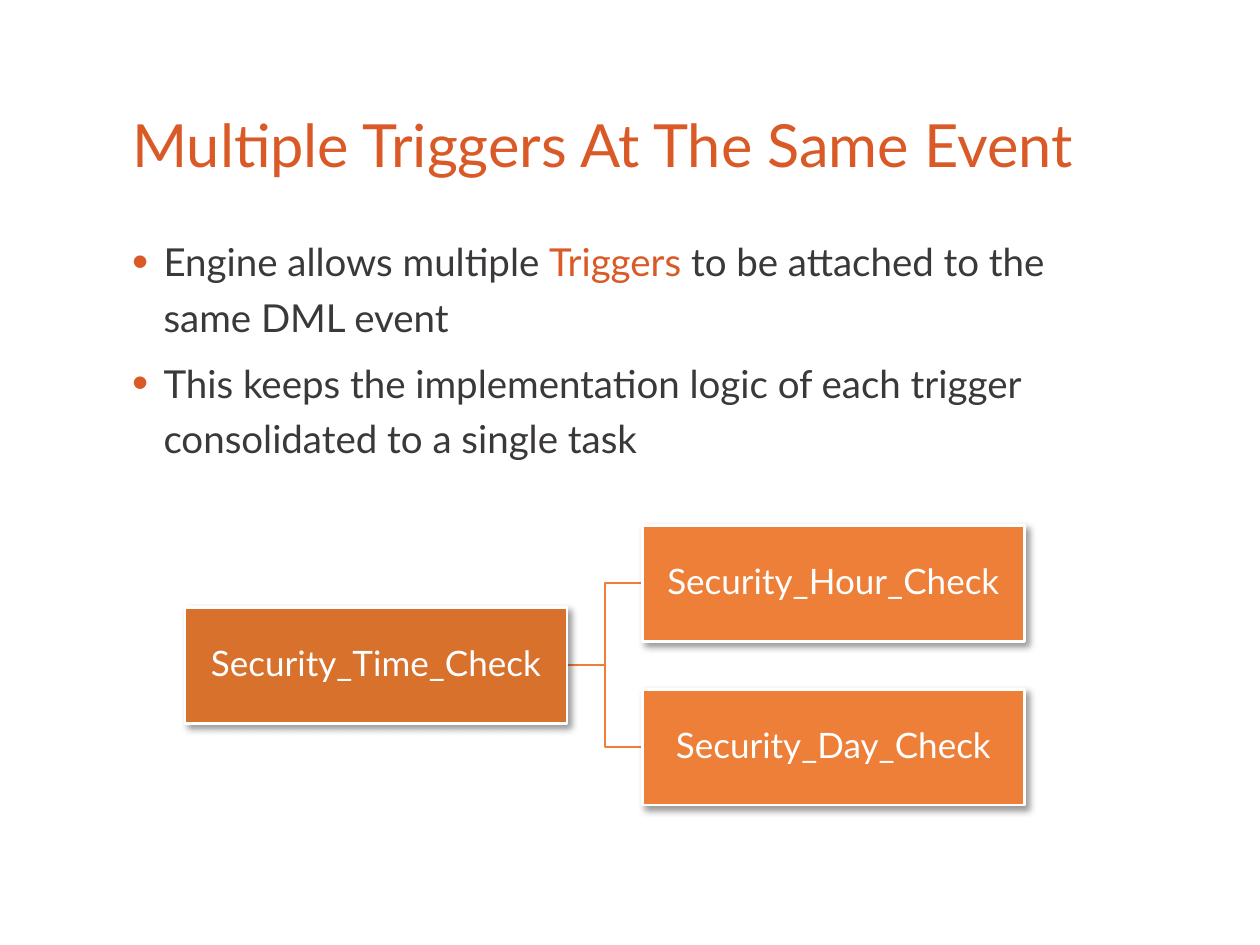
from dataclasses import dataclass

from lxml import etree
from pptx import Presentation
from pptx.dml.color import RGBColor
from pptx.enum.shapes import MSO_CONNECTOR, MSO_SHAPE
from pptx.enum.text import MSO_ANCHOR, MSO_AUTO_SIZE, PP_ALIGN
from pptx.oxml import parse_xml
from pptx.oxml.ns import nsdecls, qn
from pptx.util import Inches, Pt

ELBOW = MSO_CONNECTOR.ELBOW
RECTANGLE = MSO_SHAPE.RECTANGLE
BOTTOM, MIDDLE = MSO_ANCHOR.BOTTOM, MSO_ANCHOR.MIDDLE
LEFT, CENTER = PP_ALIGN.LEFT, PP_ALIGN.CENTER
NO_AUTOFIT = MSO_AUTO_SIZE.NONE
LEFT_SIDE, RIGHT_SIDE = 1, 3


@dataclass(frozen=True)
class Theme:
    font: str = "Lato"
    accent: str = "D95A27"
    body: str = "3B3838"
    parent: str = "D7712C"
    child: str = "ED7F39"
    light: str = "FFFFFF"
    shadow: str = "000000"
    title_size: int = 34
    body_size: int = 22
    box_size: int = 20


theme = Theme()


def add_span(para, text, size, color):
    span = para.add_run()
    span.text = text
    span.font.name = theme.font
    span.font.size = Pt(size)
    span.font.color.rgb = RGBColor.from_string(color)


def add_box(page, left, top, text, color):
    box = page.shapes.add_shape(RECTANGLE, Inches(left), Inches(top), Inches(3.03), Inches(0.92))
    box.fill.solid()
    box.fill.fore_color.rgb = RGBColor.from_string(color)
    box.line.color.rgb = RGBColor.from_string(theme.light)
    box.line.width = Pt(1.5)
    box._element.spPr.append(parse_xml(
        f'<a:effectLst {nsdecls("a")}><a:outerShdw blurRad="{Pt(4)}" dist="{Pt(3)}" '
        f'dir="2700000" algn="tl" rotWithShape="0"><a:srgbClr val="{theme.shadow}">'
        '<a:alpha val="40000"/></a:srgbClr></a:outerShdw></a:effectLst>'))
    frame = box.text_frame
    frame.word_wrap = True
    frame.vertical_anchor = MIDDLE
    frame.margin_left = frame.margin_right = Inches(0.01)
    frame.margin_top = frame.margin_bottom = Inches(0.01)
    para = frame.paragraphs[0]
    para.alignment = CENTER
    para.line_spacing = 0.9
    add_span(para, text, theme.box_size, theme.light)
    return box


deck = Presentation()
deck.slide_width = Inches(10)
deck.slide_height = Inches(7.5)
page = deck.slides.add_slide(deck.slide_layouts[5])

title = page.shapes.title
title.left, title.top = Inches(0.95), Inches(0.79)
title.width, title.height = Inches(8.04), Inches(0.69)
title.text_frame.word_wrap = True
title.text_frame.auto_size = NO_AUTOFIT
title.text_frame.vertical_anchor = BOTTOM
para = title.text_frame.paragraphs[0]
para.alignment = LEFT
para.line_spacing = 0.9
add_span(para, "Multiple Triggers At The Same Event", theme.title_size, theme.accent)

bullets = [
    [("Engine allows multiple ", theme.body), ("Triggers", theme.accent),
     (" to be attached to the same DML event", theme.body)],
    [("This keeps the implementation logic of each trigger consolidated to a single task",
      theme.body)],
]
body = page.shapes.add_textbox(Inches(0.95), Inches(1.77), Inches(8.04), Inches(2.2))
body.text_frame.word_wrap = True
for index, spans in enumerate(bullets):
    para = body.text_frame.paragraphs[0] if index == 0 else body.text_frame.add_paragraph()
    para.line_spacing = 1.2
    para.space_after = Pt(6)
    properties = para._p.get_or_add_pPr()
    properties.set("marL", str(Inches(0.25)))
    properties.set("indent", str(-Inches(0.25)))
    bullet_color = etree.SubElement(properties, qn("a:buClr"))
    etree.SubElement(bullet_color, qn("a:srgbClr"), val=theme.accent)
    etree.SubElement(properties, qn("a:buSzPct"), val="120000")
    etree.SubElement(properties, qn("a:buFont"), typeface="Arial")
    etree.SubElement(properties, qn("a:buChar"), char="•")
    for text, color in spans:
        add_span(para, text, theme.body_size, color)

children = ["Security_Hour_Check", "Security_Day_Check"]
links = [page.shapes.add_connector(ELBOW, 0, 0, 0, 0) for child in children]
parent_box = add_box(page, 1.47, 4.82, "Security_Time_Check", theme.parent)
for index, (link, child) in enumerate(zip(links, children)):
    child_box = add_box(page, 5.1, 4.17 + 1.3 * index, child, theme.child)
    link.begin_connect(parent_box, RIGHT_SIDE)
    link.end_connect(child_box, LEFT_SIDE)
    link.line.color.rgb = RGBColor.from_string(theme.child)
    link.line.width = Pt(1)
    etree.SubElement(link._element.spPr, qn("a:effectLst"))

deck.save("out.pptx")
